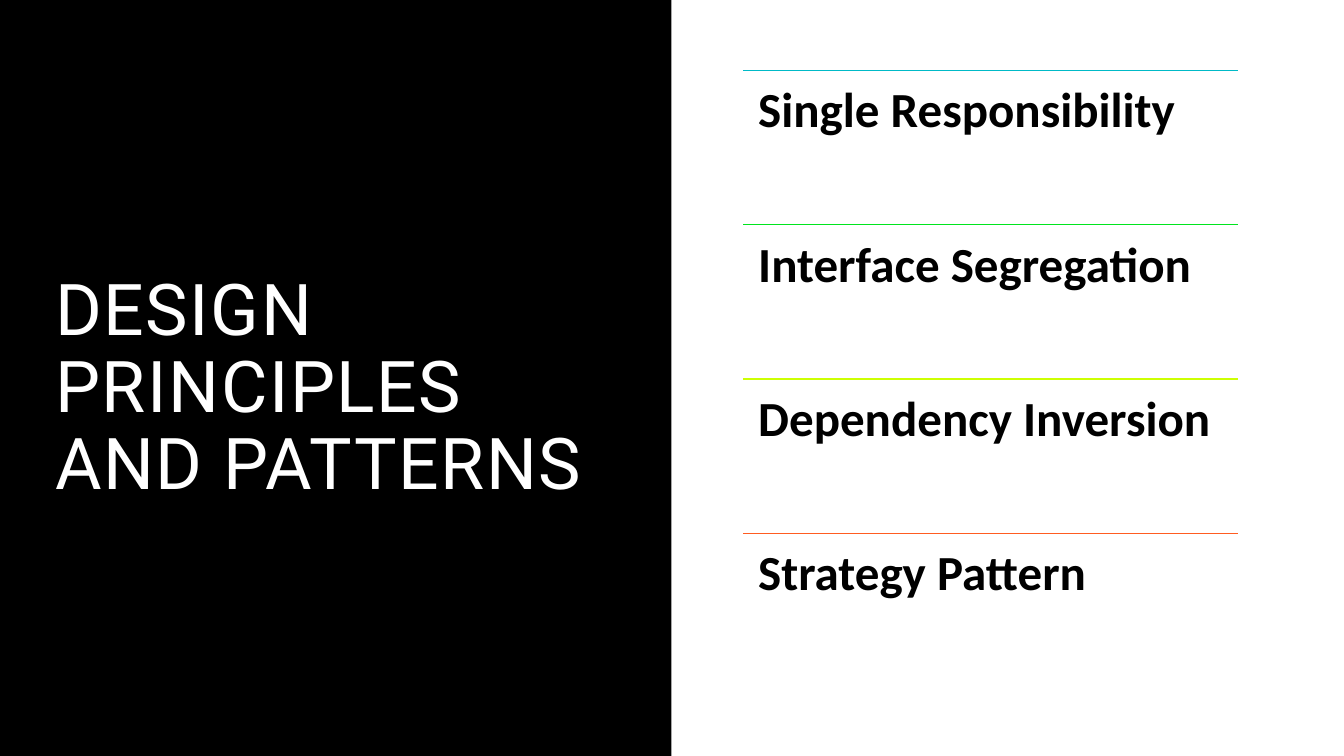
"""Build the slide on design principles and patterns."""
from lxml import etree
from pptx import Presentation
from pptx import util as u
from pptx.dml.color import RGBColor
from pptx.enum import shapes, text
from pptx.oxml.ns import qn

BLACK = RGBColor(0x00, 0x00, 0x00)
WHITE = RGBColor(0xFF, 0xFF, 0xFF)
TEAL = RGBColor(0x00, 0xBA, 0xC7)
GREEN = RGBColor(0x00, 0xE5, 0x1E)
YELLOW = RGBColor(0xCD, 0xFF, 0x03)
ORANGE = RGBColor(0xFF, 0x5C, 0x21)

TITLE_FONT = {"name": "Roboto", "size": u.Pt(51)}
PRINCIPLE_FONT = {"name": "Calibri", "size": u.Pt(35), "bold": True}
PRINCIPLES = [
    ("Single Responsibility", TEAL),
    ("Interface Segregation", GREEN),
    ("Dependency Inversion", YELLOW),
    ("Strategy Pattern", ORANGE),
]
LIST_LEFT, LIST_TOP, LIST_WIDTH, ROW_HEIGHT = 7.37, 0.7, 4.91, 1.53


def add_text(slide, box, wording, font_format, color, frame_format):
    """Add a wrapped text box and return its run."""
    frame = slide.shapes.add_textbox(*map(u.Inches, box)).text_frame
    for name, value in frame_format.items():
        setattr(frame, name, value)
    frame.word_wrap = True
    paragraph = frame.paragraphs[0]
    paragraph.line_spacing = 0.9
    run = paragraph.add_run()
    run.text = wording
    for name, value in font_format.items():
        setattr(run.font, name, value)
    run.font.color.rgb = color
    return run


presentation = Presentation()
presentation.slide_width = u.Inches(13.33)
presentation.slide_height = u.Inches(7.5)
slide = presentation.slides.add_slide(presentation.slide_layouts[6])
background = slide.background.fill
background.solid()
background.fore_color.rgb = WHITE

panel = slide.shapes.add_shape(
    shapes.MSO_SHAPE.RECTANGLE, 0, 0, u.Inches(6.66), presentation.slide_height)
panel.shadow.inherit = False
panel.fill.solid()
panel.fill.fore_color.rgb = BLACK
panel.line.fill.background()

title_run = add_text(
    slide, (0.45, 2.66, 5.87, 2.4), "DESIGN PRINCIPLES AND PATTERNS",
    TITLE_FONT, WHITE, {"vertical_anchor": text.MSO_ANCHOR.MIDDLE})
title_run.font._element.set("spc", "120")

margins = dict.fromkeys(
    ["margin_left", "margin_top", "margin_right", "margin_bottom"], u.Inches(0.15))
for row, (principle, color) in enumerate(PRINCIPLES):
    top = LIST_TOP + row * ROW_HEIGHT
    rule = slide.shapes.add_connector(
        shapes.MSO_CONNECTOR.STRAIGHT, u.Inches(LIST_LEFT), u.Inches(top),
        u.Inches(LIST_LEFT + LIST_WIDTH), u.Inches(top))
    rule.line.color.rgb = color
    rule.line.width = u.Pt(1)
    etree.SubElement(rule._element.spPr, qn("a:effectLst"))
    add_text(slide, (LIST_LEFT, top, LIST_WIDTH, ROW_HEIGHT), principle,
             PRINCIPLE_FONT, BLACK, margins)

presentation.save("out.pptx")
